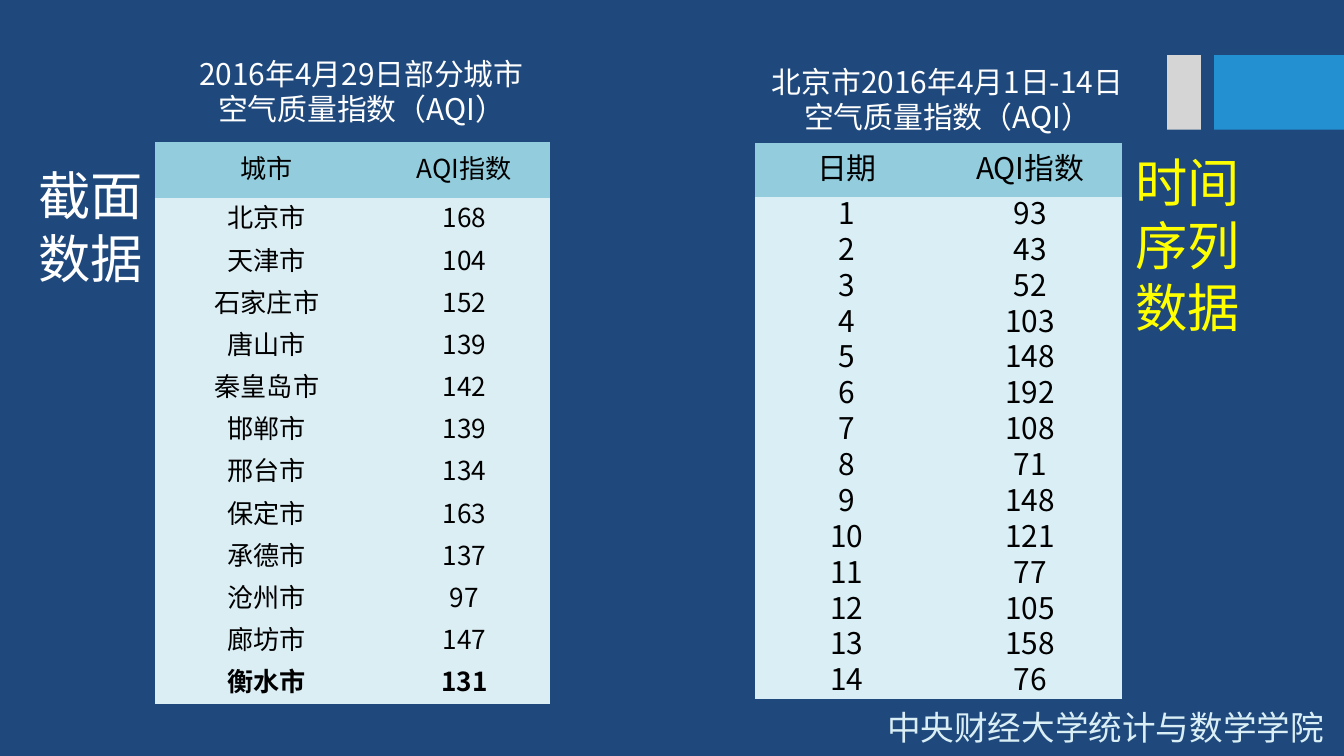
from dataclasses import dataclass
from typing import Any

from lxml import etree
from pptx import Presentation
from pptx import util as u
from pptx.dml.color import RGBColor
from pptx.enum import shapes, text
from pptx.oxml import ns


@dataclass(frozen=True)
class Theme:
    font: str = "Noto Sans CJK SC"
    background: str = "1F497D"
    white: str = "FFFFFF"
    black: str = "000000"
    yellow: str = "FFFF00"
    header: str = "93CDDD"
    city_row: str = "DBEEF4"
    pale: str = "DAEFF5"
    blue: str = "2390D1"
    grey: str = "D5D5D5"
    small: int = 14
    medium: int = 16
    footer: int = 18
    label: int = 28


THEME = Theme()
CENTER = text.PP_ALIGN.CENTER
LEFT = text.PP_ALIGN.LEFT
RIGHT = text.PP_ALIGN.RIGHT


@dataclass(frozen=True)
class Box:
    left: float
    top: float
    width: float
    height: float

    def lengths(self) -> list[u.Length]:
        return [u.Pt(value) for value in (self.left, self.top, self.width, self.height)]


@dataclass(frozen=True)
class Caption:
    box: Box
    lines: tuple[str, ...]
    size: int
    color: str
    align: Any


@dataclass(frozen=True)
class Bar:
    box: Box
    color: str


@dataclass(frozen=True)
class DataTable:
    left: float
    top: float
    columns: tuple[float, float]
    header_height: float
    row_height: float
    rows: tuple[tuple[str, str], ...]
    size: int
    body_color: str
    margin: float = 0
    bold_last: bool = False


CITIES = ("北京市", "天津市", "石家庄市", "唐山市", "秦皇岛市", "邯郸市",
          "邢台市", "保定市", "承德市", "沧州市", "廊坊市", "衡水市")
CITY_AQI = (168, 104, 152, 139, 142, 139, 134, 163, 137, 97, 147, 131)
DAILY_AQI = (93, 43, 52, 103, 148, 192, 108, 71, 148, 121, 77, 105, 158, 76)

CITY_TABLE = DataTable(
    83, 76.2, (120, 91.6), 30, 22.6,
    (("城市", "AQI指数"), *((city, str(aqi)) for city, aqi in zip(CITIES, CITY_AQI))),
    THEME.small, THEME.city_row, margin=0.6, bold_last=True)
DAY_TABLE = DataTable(
    404.5, 76.7, (98.3, 98.3), 28.9, 19.2,
    (("日期", "AQI指数"), *((str(day), str(aqi)) for day, aqi in enumerate(DAILY_AQI, 1))),
    THEME.medium, THEME.pale)

CITY_HEADING = Caption(Box(13.7, 26, 360, 46), ("2016年4月29日部分城市", "空气质量指数（AQI）"),
                       THEME.medium, THEME.white, CENTER)
CAPTIONS = (
    Caption(Box(327.6, 30.3, 360, 46), ("北京市2016年4月1日-14日", "空气质量指数（AQI）"),
            THEME.medium, THEME.white, CENTER),
    Caption(Box(13.7, 84.2, 121, 75), ("截面", "数据"), THEME.label, THEME.white, LEFT),
    Caption(Box(601.2, 77, 121, 109), ("时间", "序列", "数据"), THEME.label, THEME.yellow, LEFT),
    Caption(Box(419, 375, 297.4, 29), ("中央财经大学统计与数学学院",),
            THEME.footer, THEME.pale, RIGHT),
)
BARS = (Bar(Box(650.5, 29.5, 69.5, 40), THEME.blue), Bar(Box(625.2, 29.5, 18.2, 40), THEME.grey))


def apply(target: Any, values: dict[str, Any]) -> None:
    for name, value in values.items():
        setattr(target, name, value)


def write_lines(frame: Any, lines: tuple[str, ...], size: int, color: str,
                align: Any, bold: bool = False) -> None:
    """Write one paragraph per line at a fixed pitch of 1.2 times the type size."""
    for index, line in enumerate(lines):
        paragraph = frame.paragraphs[0] if index == 0 else frame.add_paragraph()
        apply(paragraph, {"alignment": align, "line_spacing": u.Pt(size * 1.2),
                          "space_before": u.Pt(0), "space_after": u.Pt(0)})
        run = paragraph.add_run()
        run.text = line
        apply(run.font, {"name": THEME.font, "size": u.Pt(size), "bold": bold})
        run.font.color.rgb = RGBColor.from_string(color)
        east_asian = etree.SubElement(run.font._element, ns.qn("a:ea"))
        east_asian.set("typeface", THEME.font)


def fill_caption(shape: Any, caption: Caption) -> None:
    apply(shape, dict(zip(("left", "top", "width", "height"), caption.box.lengths())))
    apply(shape.text_frame, {"word_wrap": True, "auto_size": text.MSO_AUTO_SIZE.NONE,
                             "vertical_anchor": text.MSO_ANCHOR.TOP})
    write_lines(shape.text_frame, caption.lines, caption.size, caption.color, caption.align)


def draw_bar(slide: Any, bar: Bar) -> None:
    shape = slide.shapes.add_shape(shapes.MSO_SHAPE.RECTANGLE, *bar.box.lengths())
    shape.shadow.inherit = False
    shape.fill.solid()
    shape.fill.fore_color.rgb = RGBColor.from_string(bar.color)
    shape.line.fill.background()


def draw_table(slide: Any, data: DataTable) -> None:
    last = len(data.rows) - 1
    box = Box(data.left, data.top, sum(data.columns), data.header_height + last * data.row_height)
    table = slide.shapes.add_table(last + 1, len(data.columns), *box.lengths()).table
    apply(table, {"first_row": False, "horz_banding": False})
    style = table._tbl.tblPr.find(ns.qn("a:tableStyleId"))
    style.text = "{2D5ABB26-0587-4C30-8999-92F81FD0307C}"  # no style, no grid
    for column, width in zip(table.columns, data.columns):
        column.width = u.Pt(width)
    margin = u.Pt(data.margin)
    for index, values in enumerate(data.rows):
        table.rows[index].height = u.Pt(data.row_height if index else data.header_height)
        for cell, value in zip(table.rows[index].cells, values):
            apply(cell, {"margin_left": margin, "margin_right": margin, "margin_top": margin,
                         "margin_bottom": 0, "vertical_anchor": text.MSO_ANCHOR.MIDDLE})
            cell.fill.solid()
            cell.fill.fore_color.rgb = RGBColor.from_string(
                data.body_color if index else THEME.header)
            write_lines(cell.text_frame, (value,), data.size, THEME.black, CENTER,
                        data.bold_last and index == last)


def main() -> None:
    presentation = Presentation()
    apply(presentation, {"slide_width": u.Pt(720), "slide_height": u.Pt(405)})
    slide = presentation.slides.add_slide(presentation.slide_layouts[5])
    slide.background.fill.solid()
    slide.background.fill.fore_color.rgb = RGBColor.from_string(THEME.background)
    for bar in BARS:
        draw_bar(slide, bar)
    for data in (CITY_TABLE, DAY_TABLE):
        draw_table(slide, data)
    fill_caption(slide.shapes.title, CITY_HEADING)
    for caption in CAPTIONS:
        fill_caption(slide.shapes.add_textbox(*caption.box.lengths()), caption)
    presentation.save("out.pptx")


if __name__ == "__main__":
    main()
